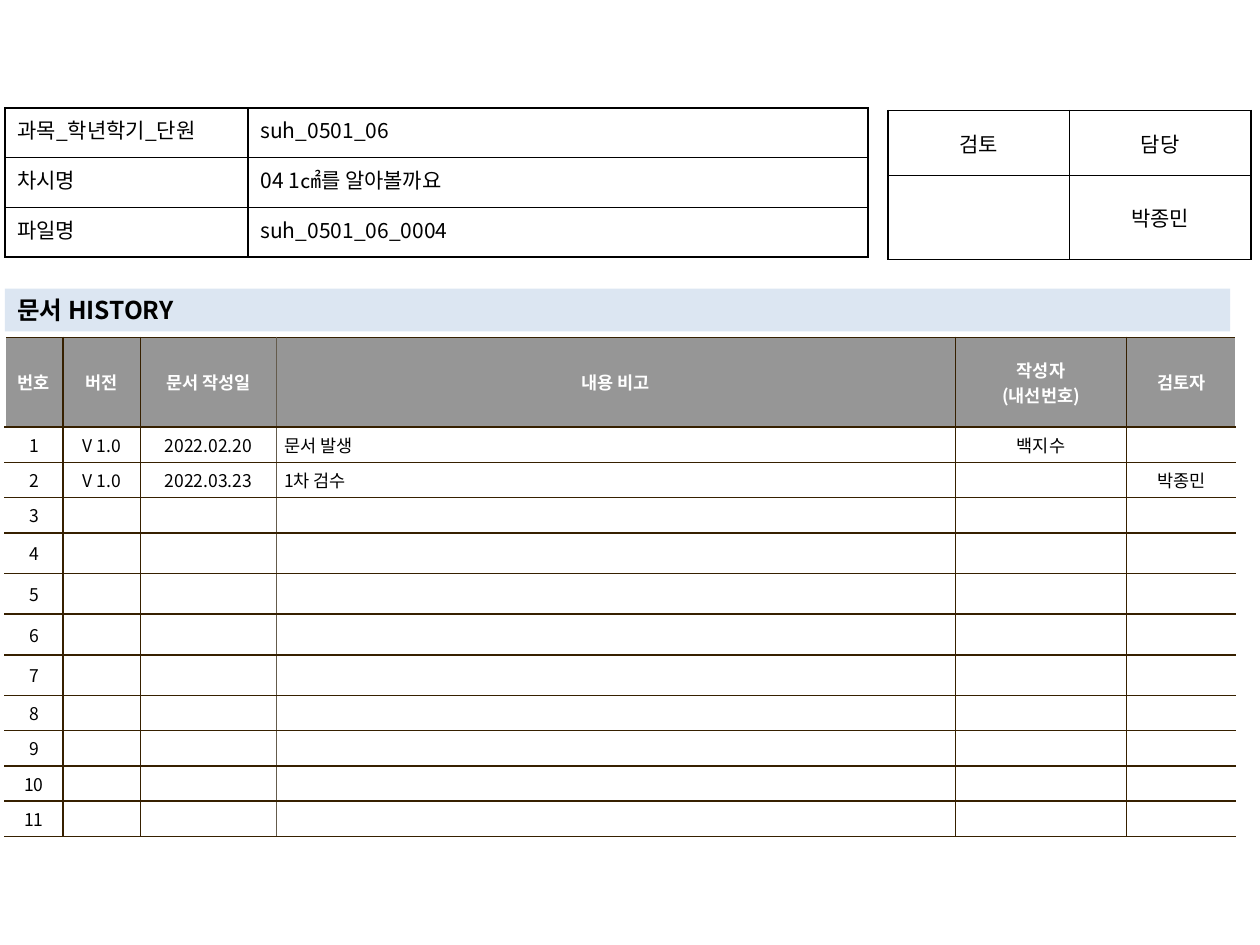
from lxml.etree import SubElement
from pptx import Presentation
from pptx.dml.color import RGBColor
from pptx.enum.shapes import MSO_SHAPE as Shape
from pptx.enum.text import MSO_ANCHOR as Anchor, PP_ALIGN as Align
from pptx.oxml.ns import qn
from pptx.util import Cm, Pt

BLACK = RGBColor(0x00, 0x00, 0x00)
WHITE = RGBColor(0xFF, 0xFF, 0xFF)
GRAY = RGBColor(0x96, 0x96, 0x96)
PALE_BLUE = RGBColor(0xDC, 0xE6, 0xF2)
BROWN = RGBColor(0x36, 0x20, 0x00)
TAUPE = RGBColor(0x64, 0x5B, 0x4C)

HISTORY_HEAD = ["번호", "버전", "문서 작성일", "내용 비고", "작성자\n(내선번호)", "검토자"]
HISTORY_ENTRIES = [
    ["V 1.0", "2022.02.20", "문서 발생", "백지수", ""],
    ["V 1.0", "2022.03.23", "1차 검수", "", "박종민"],
]
HISTORY_COUNT = 11
NOTE_COLUMN = 3
DOCUMENT_INFO = [
    ["과목_학년학기_단원", "suh_0501_06"],
    ["차시명", "04 1㎠를 알아볼까요"],
    ["파일명", "suh_0501_06_0004"],
]
APPROVAL = [["검토", "담당"], ["", "박종민"]]


class Sheet:
    font_name = "Noto Sans CJK KR"
    line_width = Pt(1)

    def __init__(self, deck):
        self.page = deck.slides.add_slide(deck.slide_layouts[6])

    def set_text(self, frame, text, size, color=BLACK, bold=False, align=Align.LEFT):
        frame.text = text
        style = {"name": self.font_name, "size": Pt(size), "bold": bold}
        for para in frame.paragraphs:
            para.alignment = align
            for span in para.runs:
                for key, value in style.items():
                    setattr(span.font, key, value)
                span.font.color.rgb = color
                east_asian = SubElement(span.font._element, qn("a:ea"))
                east_asian.set("typeface", self.font_name)
            if not para.runs:
                SubElement(para._p, qn("a:endParaRPr")).set("sz", str(size * 100))

    def border(self, cell, colors):
        properties = cell._tc.get_or_add_tcPr()
        for side in "LRTB":
            if side in colors:
                line = SubElement(properties, qn(f"a:ln{side}"), w=str(self.line_width))
                fill = SubElement(line, qn("a:solidFill"))
                SubElement(fill, qn("a:srgbClr"), val=str(colors[side]))

    def table(self, left, top, widths, heights, rows, cell_style):
        frame = self.page.shapes.add_table(
            len(rows), len(widths), Cm(left), Cm(top), Cm(sum(widths)), Cm(sum(heights)))
        table = frame.table
        table.first_row = table.horz_banding = False
        for column, width in zip(table.columns, widths):
            column.width = Cm(width)
        for row, height in zip(table.rows, heights):
            row.height = Cm(height)
        for r, texts in enumerate(rows):
            for c, text in enumerate(texts):
                style = cell_style(r, c)
                cell = table.cell(r, c)
                self.set_text(cell.text_frame, text, **style["text"])
                self.border(cell, style["border"])
                if style["fill"] is None:
                    cell.fill.background()
                else:
                    cell.fill.solid()
                    cell.fill.fore_color.rgb = style["fill"]
                for key, value in style["format"].items():
                    setattr(cell, key, value)

    def heading(self, left, top, width, height, text):
        box = self.page.shapes.add_shape(
            Shape.RECTANGLE, Cm(left), Cm(top), Cm(width), Cm(height))
        box.shadow.inherit = False
        box.fill.solid()
        box.fill.fore_color.rgb = PALE_BLUE
        box.line.fill.background()
        box.text_frame.word_wrap = True
        box.text_frame.vertical_anchor = Anchor.MIDDLE
        self.set_text(box.text_frame, text, 14, bold=True)


def cell_format(anchor, side, end):
    return {"vertical_anchor": anchor, "margin_left": Cm(side), "margin_right": Cm(side),
            "margin_top": Cm(end), "margin_bottom": Cm(end)}


def history_style(row, column):
    is_head = row == 0
    border = dict.fromkeys("LRTB", BROWN)
    if column == 0:
        del border["L"]
    if column == len(HISTORY_HEAD) - 1:
        del border["R"]
    if column == NOTE_COLUMN - 1:
        border["R"] = TAUPE
    if column == NOTE_COLUMN:
        border["L"] = TAUPE
    align = Align.LEFT if column == NOTE_COLUMN and not is_head else Align.CENTER
    return {
        "text": {"size": 10, "bold": is_head, "align": align,
                 "color": WHITE if is_head else BLACK},
        "border": border,
        "fill": GRAY if is_head else WHITE,
        "format": cell_format(Anchor.MIDDLE, 0.16, 0.1),
    }


def plain_style(align, anchor):
    return {
        "text": {"size": 12, "align": align},
        "border": dict.fromkeys("LRTB", BLACK),
        "fill": None,
        "format": cell_format(anchor, 0.25, 0.13),
    }


def approval_style(row, column):
    return plain_style(Align.CENTER, Anchor.MIDDLE)


def info_style(row, column):
    return plain_style(Align.LEFT if column else Align.JUSTIFY, Anchor.TOP)


def main():
    deck = Presentation()
    deck.slide_width, deck.slide_height = Cm(25.4), Cm(19.05)
    sheet = Sheet(deck)

    blank = [""] * (len(HISTORY_HEAD) - 1)
    entries = HISTORY_ENTRIES + [blank] * (HISTORY_COUNT - len(HISTORY_ENTRIES))
    history = [HISTORY_HEAD] + [[str(n), *entry] for n, entry in enumerate(entries, 1)]
    heights = [1.81] + [0.71] * 3 + [0.82] * 4 + [0.71] * 4

    sheet.table(0.1, 6.8, [1.17, 1.56, 2.74, 13.69, 3.45, 2.2], heights,
                history, history_style)
    sheet.table(17.9, 2.23, [3.66] * 2, [1.31, 1.69], APPROVAL, approval_style)
    sheet.heading(0.1, 5.82, 24.7, 0.86, "문서 HISTORY")
    sheet.table(0.1, 2.18, [4.9, 12.5], [1] * 3, DOCUMENT_INFO, info_style)

    deck.save("out.pptx")


if __name__ == "__main__":
    main()
